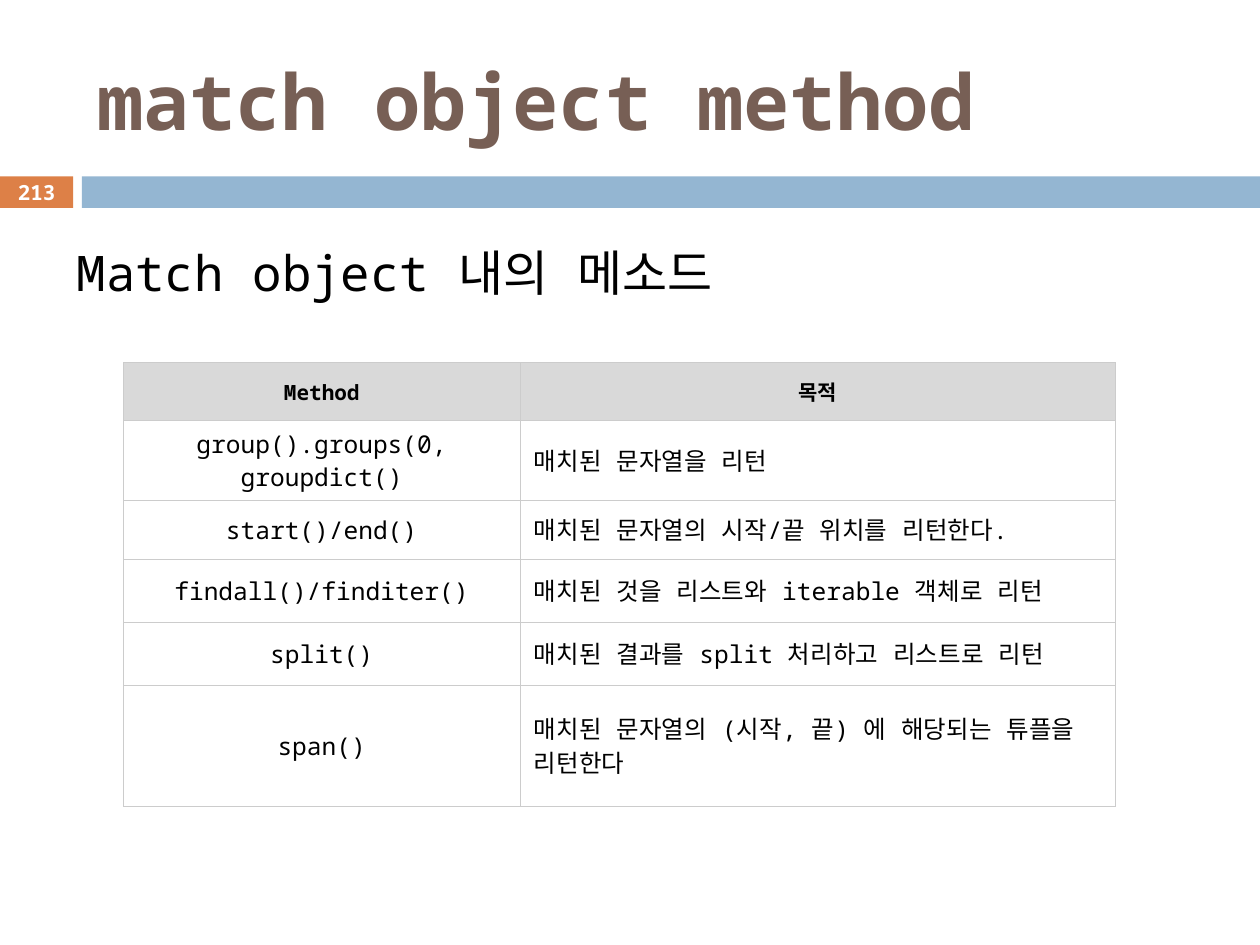
from dataclasses import dataclass
from typing import NamedTuple

from lxml.etree import SubElement
from pptx import Presentation
from pptx.dml.color import RGBColor
from pptx.enum.shapes import MSO_SHAPE
from pptx.enum.text import MSO_ANCHOR, MSO_AUTO_SIZE, PP_ALIGN
from pptx.oxml.ns import qn
from pptx.util import Inches, Pt

WIDTH, HEIGHT = Inches(10), Inches(7.5)


@dataclass(frozen=True)
class Theme:
    font: str = "Noto Sans Mono"
    title: str = "775F55"
    ink: str = "000000"
    paper: str = "FFFFFF"
    badge: str = "DD8047"
    band: str = "94B6D2"
    head: str = "D9D9D9"
    rule: str = "CCCCCC"
    rule_size: float = 0.6
    title_size: float = 44
    body_size: float = 28
    cell_size: float = 14
    head_size: float = 12
    page_size: float = 11.9


class Box(NamedTuple):
    """Left, top, width and height in percent of the slide."""
    left: float
    top: float
    width: float
    height: float

    def emu(self) -> tuple[int, ...]:
        sides = (WIDTH, HEIGHT, WIDTH, HEIGHT)
        return tuple(round(part * side / 100) for part, side in zip(self, sides))


class Style(NamedTuple):
    size: float
    color: str
    bold: bool = False


class Method(NamedTuple):
    name: str
    use: str
    height: float  # percent of the slide


THEME = Theme()
BADGE = Box(0, 18.67, 5.8, 3.33)
BAND = Box(6.5, 18.67, 93.5, 3.33)
TITLE = Box(6.7, 3.33, 89.2, 14.4)
BODY = Box(5.1, 23.73, 90, 9.87)
GRID = Box(9.8, 38.4, 78.7, 44.53)
SPLIT = 0.4  # share of the table's width in its first column
ROWS = [
    Method("Method", "목적", 6.13),
    Method("group().groups(0, groupdict()", "매치된 문자열을 리턴", 6),
    Method("start()/end()", "매치된 문자열의 시작/끝 위치를 리턴한다.", 6.27),
    Method("findall()/finditer()", "매치된 것을 리스트와 iterable 객체로 리턴", 6.67),
    Method("split()", "매치된 결과를 split 처리하고 리스트로 리턴", 6.67),
    Method("span()", "매치된 문자열의 (시작, 끝) 에 해당되는 튜플을 리턴한다", 12.8),
]


def write(frame, text: str, style: Style, align=PP_ALIGN.LEFT):
    para = frame.paragraphs[0]
    para.alignment = align
    run = para.add_run()
    run.text = text
    font = run.font
    font.name, font.size, font.bold = THEME.font, Pt(style.size), style.bold
    font.color.rgb = RGBColor.from_string(style.color)
    SubElement(font._element, qn("a:ea"), typeface=THEME.font)
    return para


def place(shape, box: Box) -> None:
    shape.left, shape.top, shape.width, shape.height = box.emu()


def bar(slide, box: Box, color: str):
    shape = slide.shapes.add_shape(MSO_SHAPE.RECTANGLE, *box.emu())
    shape.shadow.inherit = False
    shape.fill.solid()
    shape.fill.fore_color.rgb = RGBColor.from_string(color)
    shape.line.fill.background()
    return shape


def fill_holder(shape, box: Box, text: str, style: Style, anchor):
    place(shape, box)
    frame = shape.text_frame
    frame.word_wrap = True
    frame.auto_size = MSO_AUTO_SIZE.NONE
    frame.vertical_anchor = anchor
    return write(frame, text, style)


def plain(para) -> None:
    """Drop the template's bullet and indent."""
    props = para._p.get_or_add_pPr()
    props.set("marL", "0")
    props.set("indent", "0")
    SubElement(props, qn("a:buNone"))


def frame_cell(cell, color: str) -> None:
    """Draw the cell's four borders, then its fill."""
    props = cell._tc.get_or_add_tcPr()
    for side in "LRTB":
        line = SubElement(props, qn(f"a:ln{side}"), w=str(Pt(THEME.rule_size)))
        SubElement(SubElement(line, qn("a:solidFill")), qn("a:srgbClr"), val=THEME.rule)
    cell.fill.solid()
    cell.fill.fore_color.rgb = RGBColor.from_string(color)


def add_grid(slide, rows: list[Method]) -> None:
    table = slide.shapes.add_table(len(rows), 2, *GRID.emu()).table
    table.horz_banding = False
    for col, share in zip(table.columns, (SPLIT, 1 - SPLIT)):
        col.width = round(GRID.emu()[2] * share)
    for at, item in enumerate(rows):
        head = at == 0
        table.rows[at].height = round(HEIGHT * item.height / 100)
        style = Style(THEME.head_size if head else THEME.cell_size, THEME.ink, head)
        for col, text in enumerate((item.name, item.use)):
            cell = table.cell(at, col)
            frame_cell(cell, THEME.head if head else THEME.paper)
            cell.vertical_anchor = MSO_ANCHOR.MIDDLE
            cell.margin_left = cell.margin_right = Inches(0.11)
            center = head or col == 0
            write(cell.text_frame, text, style,
                  PP_ALIGN.CENTER if center else PP_ALIGN.LEFT)


def main() -> None:
    deck = Presentation()
    deck.slide_width, deck.slide_height = WIDTH, HEIGHT
    slide = deck.slides.add_slide(deck.slide_layouts[1])

    bar(slide, BAND, THEME.band)
    badge = bar(slide, BADGE, THEME.badge).text_frame
    badge.margin_left = badge.margin_right = 0
    badge.margin_top = badge.margin_bottom = 0
    badge.vertical_anchor = MSO_ANCHOR.MIDDLE
    write(badge, "213", Style(THEME.page_size, THEME.paper, True), PP_ALIGN.CENTER)

    fill_holder(slide.shapes.title, TITLE, "match object method",
                Style(THEME.title_size, THEME.title, True), MSO_ANCHOR.MIDDLE)
    para = fill_holder(slide.placeholders[1], BODY, "Match object 내의 메소드",
                       Style(THEME.body_size, THEME.ink), MSO_ANCHOR.TOP)
    para.line_spacing = 1.2
    para.space_before = Pt(0)
    plain(para)

    add_grid(slide, ROWS)
    deck.save("out.pptx")


if __name__ == "__main__":
    main()
